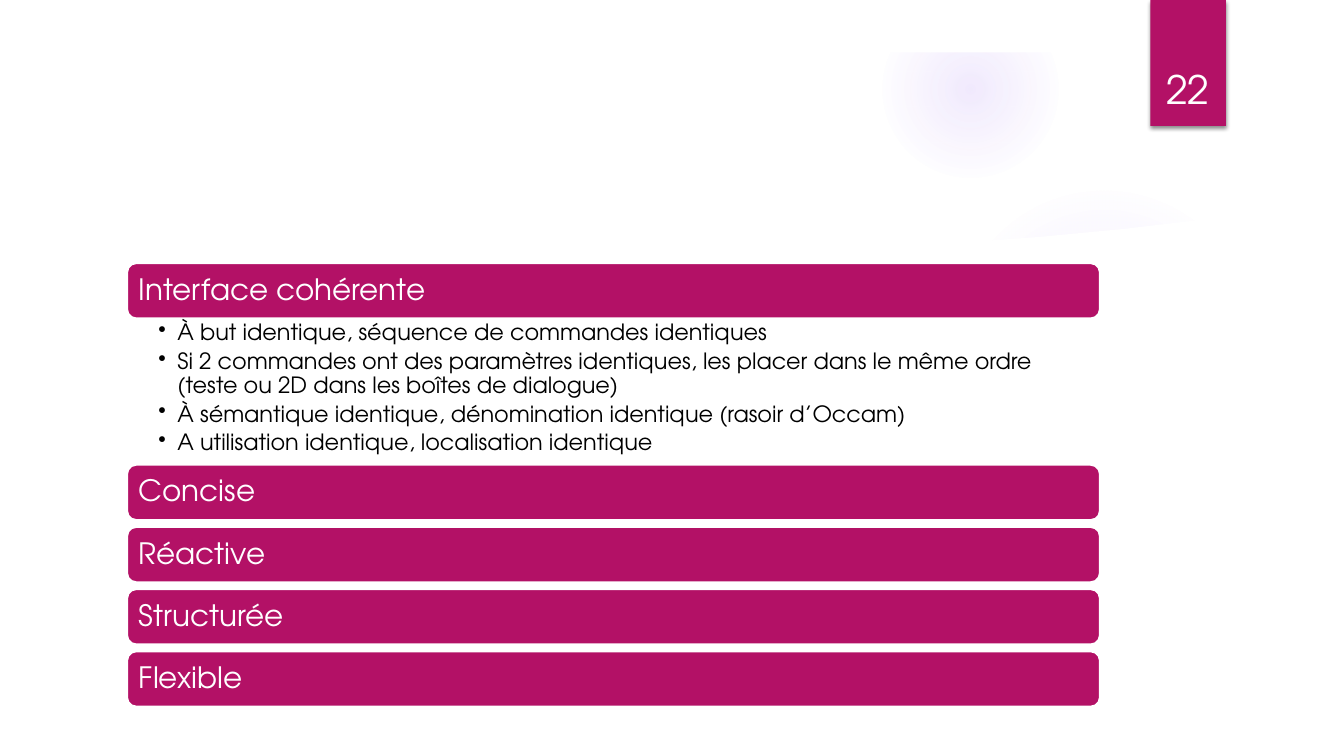
from lxml import etree
from pptx import Presentation
from pptx.dml.color import RGBColor
from pptx.enum.shapes import MSO_SHAPE
from pptx.enum.text import MSO_ANCHOR, PP_ALIGN
from pptx.oxml import parse_xml
from pptx.oxml.ns import nsdecls, qn
from pptx.util import Inches, Pt

FONT = "TeX Gyre Adventor"
MAGENTA = RGBColor(0xB3, 0x11, 0x66)
VIOLET = RGBColor(0x9B, 0x6B, 0xF2)
WHITE = RGBColor(0xFF, 0xFF, 0xFF)
BLACK = RGBColor(0x00, 0x00, 0x00)

BAR_LEFT, BAR_WIDTH, BAR_HEIGHT = 1.26, 9.65, 0.55
FIRST_BAR_TOP = 2.61
OTHER_BARS_TOP, BAR_PITCH = 4.61, 0.617

FIRST_HEADING = "Interface cohérente"
OTHER_HEADINGS = ["Concise", "Réactive", "Structurée", "Flexible"]
BULLETS = [
    "À but identique, séquence de commandes identiques",
    "Si 2 commandes ont des paramètres identiques, les placer dans le même ordre "
    "(teste ou 2D dans les boîtes de dialogue)",
    "À sémantique identique, dénomination identique (rasoir d’Occam)",
    "A utilisation identique, localisation identique",
]

# Upper edge of the white panel, from right to left
PANEL_EDGE = [
    (12.84, 2.04), (12, 2.17), (11.16, 2.27), (10.32, 2.35), (9.49, 2.41),
    (8.67, 2.45), (7.34, 2.48), (6.07, 2.47), (4.88, 2.43), (3.6, 2.36),
    (2.49, 2.27), (1.35, 2.15), (0.5, 2.04),
]


def add_filled_shape(slide, kind, left, top, width, height, color):
    shape = slide.shapes.add_shape(
        kind, Inches(left), Inches(top), Inches(width), Inches(height))
    shape.shadow.inherit = False
    shape.fill.solid()
    shape.fill.fore_color.rgb = color
    shape.line.fill.background()
    return shape


def add_glow(slide, left, top, size, stops):
    """Add a circle that fades outwards; stops are (position, opacity) in percent."""
    glow = add_filled_shape(slide, MSO_SHAPE.OVAL, left, top, size, size, VIOLET)
    stop_xml = "".join(
        f'<a:gs pos="{position * 1000}"><a:srgbClr val="{VIOLET}">'
        f'<a:alpha val="{opacity * 1000}"/></a:srgbClr></a:gs>'
        for position, opacity in stops)
    gradient = parse_xml(
        f'<a:gradFill {nsdecls("a")}><a:gsLst>{stop_xml}</a:gsLst>'
        '<a:path path="circle"><a:fillToRect l="50000" t="50000" r="50000" b="50000"/>'
        '</a:path></a:gradFill>')
    properties = glow._element.spPr
    properties.replace(properties.find(qn("a:solidFill")), gradient)


def add_panel(slide):
    points = [(Inches(x), Inches(y)) for x, y in PANEL_EDGE + [(0.5, 7), (12.84, 7)]]
    builder = slide.shapes.build_freeform(*points[0])
    builder.add_line_segments(points[1:], close=True)
    panel = builder.convert_to_shape()
    panel.shadow.inherit = False
    panel.fill.solid()
    panel.fill.fore_color.rgb = WHITE
    panel.line.fill.background()


def add_drop_shadow(shape):
    effects = shape._element.spPr.find(qn("a:effectLst"))
    effects.append(parse_xml(
        f'<a:outerShdw {nsdecls("a")} blurRad="{Pt(3)}" dist="{Pt(2)}" dir="5400000" '
        'rotWithShape="0"><a:srgbClr val="000000"><a:alpha val="45000"/></a:srgbClr>'
        '</a:outerShdw>'))


def add_run(paragraph, text, size, color):
    run = paragraph.add_run()
    run.text = text
    run.font.name = FONT
    run.font.size = Pt(size)
    run.font.color.rgb = color


def set_margins(frame, left, top, right, bottom):
    frame.margin_left, frame.margin_top = Inches(left), Inches(top)
    frame.margin_right, frame.margin_bottom = Inches(right), Inches(bottom)


def add_text_box(slide, left, top, width, height):
    box = slide.shapes.add_textbox(
        Inches(left), Inches(top), Inches(width), Inches(height))
    box.text_frame.word_wrap = True
    return box.text_frame


def add_heading_bar(slide, top, text):
    bar = add_filled_shape(slide, MSO_SHAPE.ROUNDED_RECTANGLE,
                           BAR_LEFT, top, BAR_WIDTH, BAR_HEIGHT, MAGENTA)
    bar.line.color.rgb = WHITE
    bar.line.width = Pt(1.5)
    frame = bar.text_frame
    frame.word_wrap = True
    frame.vertical_anchor = MSO_ANCHOR.MIDDLE
    set_margins(frame, 0.09, 0.09, 0.09, 0.09)
    paragraph = frame.paragraphs[0]
    paragraph.alignment = PP_ALIGN.LEFT
    paragraph.line_spacing = 0.9
    add_run(paragraph, text, 21, WHITE)


def add_bullet_list(slide, top, height, items):
    frame = add_text_box(slide, BAR_LEFT, top, BAR_WIDTH, height)
    set_margins(frame, 0.31, 0.03, 0.16, 0.03)
    for index, item in enumerate(items):
        paragraph = frame.add_paragraph() if index else frame.paragraphs[0]
        paragraph.level = 1
        paragraph.line_spacing = 0.9
        paragraph.space_after = Pt(3.2)
        properties = paragraph._p.get_or_add_pPr()
        properties.set("marL", str(Inches(0.19)))
        properties.set("indent", str(-Inches(0.19)))
        etree.SubElement(properties, qn("a:buChar")).set("char", "•")
        add_run(paragraph, item, 16, BLACK)


def add_page_number(slide, number):
    tab = add_filled_shape(slide, MSO_SHAPE.RECTANGLE, 11.41, 0, 0.75, 1.25, MAGENTA)
    add_drop_shadow(tab)
    frame = add_text_box(slide, 11.32, 0.32, 0.92, 0.84)
    frame.vertical_anchor = MSO_ANCHOR.BOTTOM
    paragraph = frame.paragraphs[0]
    paragraph.alignment = PP_ALIGN.CENTER
    add_run(paragraph, number, 28, WHITE)


def main():
    presentation = Presentation()
    presentation.slide_width = Inches(13.33)
    presentation.slide_height = Inches(7.5)
    slide = presentation.slides.add_slide(presentation.slide_layouts[6])

    add_glow(slide, 9.41, 1.83, 3.08, [(0, 7), (36, 6), (69, 0)])
    add_glow(slide, 8.75, 0.01, 1.75, [(0, 14), (36, 7), (73, 0)])
    add_panel(slide)
    add_filled_shape(slide, MSO_SHAPE.RECTANGLE, 0, 0, 13.33, 0.52, WHITE)

    add_heading_bar(slide, FIRST_BAR_TOP, FIRST_HEADING)
    list_top = FIRST_BAR_TOP + BAR_HEIGHT
    add_bullet_list(slide, list_top, OTHER_BARS_TOP - list_top, BULLETS)
    for index, heading in enumerate(OTHER_HEADINGS):
        add_heading_bar(slide, OTHER_BARS_TOP + index * BAR_PITCH, heading)
    add_page_number(slide, "22")

    presentation.save("out.pptx")


if __name__ == "__main__":
    main()
